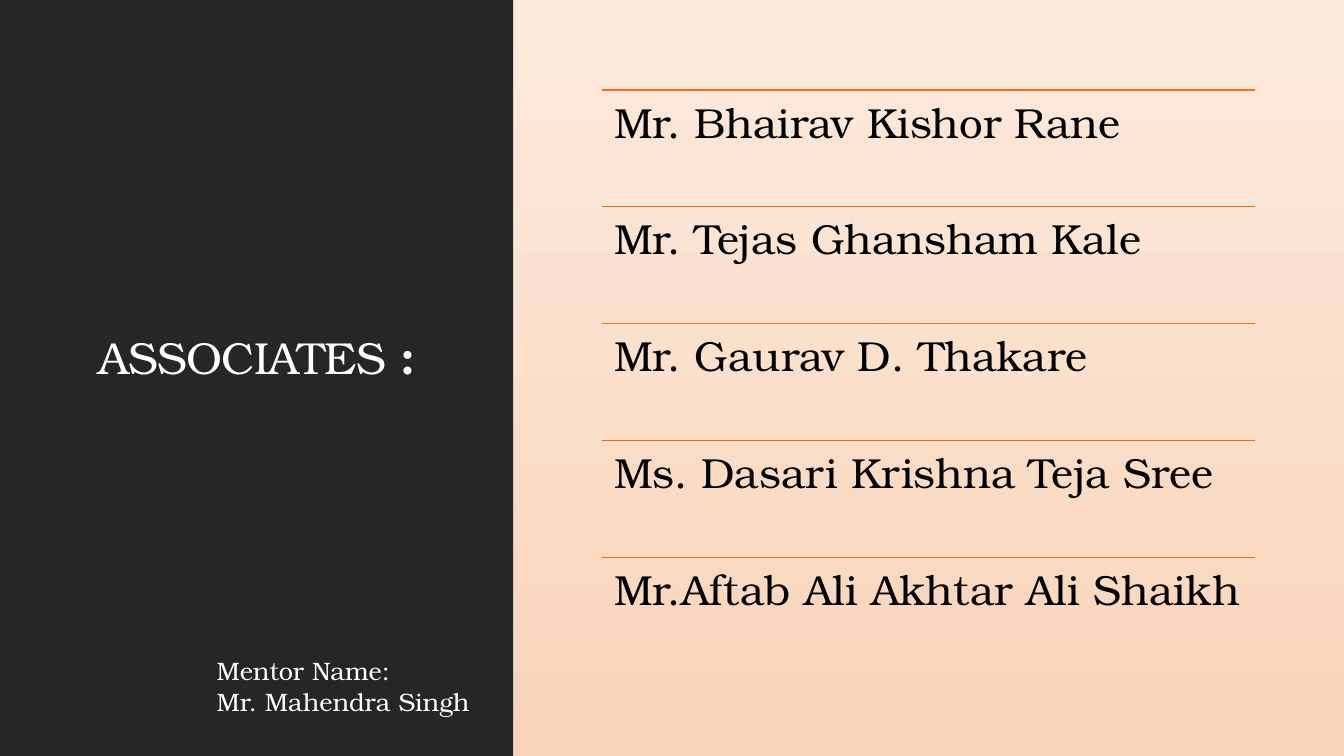
import lxml.etree
import pptx
import pptx.util
import pptx.dml.color
import pptx.enum.shapes
import pptx.enum.text
import pptx.oxml.ns
from pptx.util import Inches

FONT = "TeX Gyre Bonum"
DARK, WHITE, BLACK, ORANGE = "262626", "FFFFFF", "000000", "EC7016"
NAMES = [
    "Mr. Bhairav Kishor Rane",
    "Mr. Tejas Ghansham Kale",
    "Mr. Gaurav D. Thakare",
    "Ms. Dasari Krishna Teja Sree",
    "Mr.Aftab Ali Akhtar Ali Shaikh",
]
LEFT, TOP, WIDTH, STEP = 5.97, 0.89, 6.48, 1.16


def color(code):
    """Turn a hex string into a colour."""
    return pptx.dml.color.RGBColor.from_string(code)


def add_run(para, text, size, code, bold=False):
    """Add one formatted run to a paragraph."""
    run = para.add_run()
    run.text = text
    run.font.name = FONT
    run.font.size = pptx.util.Pt(size)
    run.font.bold = bold
    run.font.color.rgb = color(code)
    return run


def set_back(slide):
    """Fill the background with a gradient from top to bottom."""
    fill = slide.background.fill
    fill.gradient()
    fill.gradient_angle = 270
    for stop, place, code in zip(fill.gradient_stops, (0, 1), ("FCEADC", "F9D4B9")):
        stop.position = place
        stop.color.rgb = color(code)


def add_panel(slide, left, top, width, height):
    """Add a dark rectangle with no shadow."""
    panel = slide.shapes.add_shape(
        pptx.enum.shapes.MSO_SHAPE.RECTANGLE,
        Inches(left), Inches(top), Inches(width), Inches(height))
    panel.shadow.inherit = False
    panel.fill.solid()
    panel.fill.fore_color.rgb = color(DARK)
    panel.line.fill.background()
    return panel


def set_title(slide):
    """Place and format the title."""
    title = slide.shapes.title
    title.left, title.top = Inches(0.88), Inches(2.87)
    title.width, title.height = Inches(3.82), Inches(0.99)
    frame = title.text_frame
    frame.auto_size = pptx.enum.text.MSO_AUTO_SIZE.NONE
    frame.vertical_anchor = pptx.enum.text.MSO_ANCHOR.BOTTOM
    para = frame.paragraphs[0]
    para.alignment = pptx.enum.text.PP_ALIGN.LEFT
    para.line_spacing = 0.9
    for text, bold in (("ASSOCIATES", False), (" :", True)):
        run = add_run(para, text, 32, WHITE, bold)
        run.font._element.set("spc", "-50")


def add_rule(slide, top):
    """Draw the orange line above a name."""
    rule = slide.shapes.add_connector(
        pptx.enum.shapes.MSO_CONNECTOR.STRAIGHT,
        Inches(LEFT), Inches(top), Inches(LEFT + WIDTH), Inches(top))
    rule.line.color.rgb = color(ORANGE)
    rule.line.width = pptx.util.Pt(1.25)
    lxml.etree.SubElement(rule._element.spPr, pptx.oxml.ns.qn("a:effectLst"))


def add_name(slide, top, name):
    """Add the text box that holds a name."""
    box = slide.shapes.add_textbox(
        Inches(LEFT), Inches(top), Inches(WIDTH), Inches(STEP))
    frame = box.text_frame
    frame.word_wrap = True
    frame.margin_left = frame.margin_right = Inches(0.12)
    frame.margin_top = frame.margin_bottom = Inches(0.12)
    para = frame.paragraphs[0]
    para.line_spacing = 0.9
    add_run(para, name, 30, BLACK)


def add_mentor(slide):
    """Add the mentor's label and name."""
    frame = add_panel(slide, 2.05, 6.31, 2.73, 0.99).text_frame
    frame.word_wrap = True
    frame.vertical_anchor = pptx.enum.text.MSO_ANCHOR.MIDDLE
    paras = [frame.paragraphs[0], frame.add_paragraph()]
    for para, text in zip(paras, ("Mentor Name:", "Mr. Mahendra Singh")):
        para.alignment = pptx.enum.text.PP_ALIGN.LEFT
        add_run(para, text, 18, WHITE)


def main():
    """Build and save the slide."""
    deck = pptx.Presentation()
    deck.slide_width, deck.slide_height = Inches(13.33), Inches(7.5)
    slide = deck.slides.add_slide(deck.slide_layouts[5])
    set_back(slide)
    side = add_panel(slide, 0, 0, 5.09, 7.5)
    slide.shapes.title._element.addprevious(side._element)
    set_title(slide)
    for row, name in enumerate(NAMES):
        top = TOP + row * STEP
        add_rule(slide, top)
        add_name(slide, top, name)
    add_mentor(slide)
    deck.save("out.pptx")


if __name__ == "__main__":
    main()
